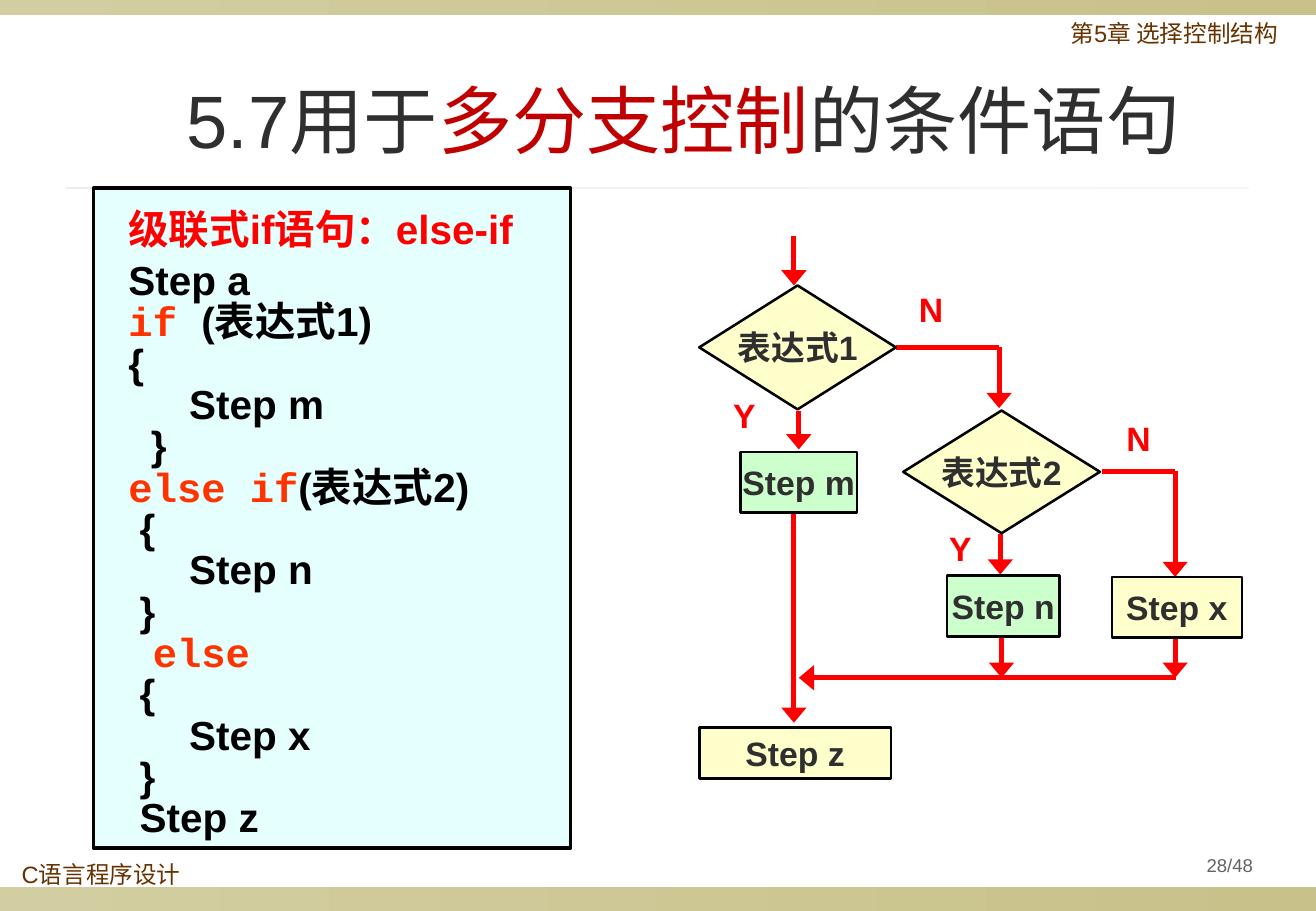
"""Build the slide on cascaded if statements: code panel and flow chart."""
from lxml.etree import SubElement
from pptx import Presentation
from pptx.dml.color import RGBColor
from pptx.enum.shapes import MSO_CONNECTOR, MSO_SHAPE
from pptx.enum.text import MSO_ANCHOR, PP_ALIGN
from pptx.oxml.ns import qn
from pptx.util import Inches, Pt

CELL = Inches(0.1)
RED, BLACK, DARK, BROWN = "FF0000", "000000", "2F2F2F", "663300"
CREAM, GREEN, KEY = "FFFFCC", "CCFFCC", "FF3300"
MONO, HAN = "Courier New", "Noto Sans CJK SC"


def paint(part, tone):
    part.solid()
    part.fore_color.rgb = RGBColor.from_string(tone)


def write(para, text, size=20, tone=DARK, bold=True, face="Arial", align=PP_ALIGN.LEFT):
    para.alignment = align
    run = para.add_run()
    run.text = text
    run.font.size, run.font.bold, run.font.name = Pt(size), bold, face
    paint(run.font.fill, tone)
    SubElement(run.font._element, qn("a:ea"), typeface=HAN)


deck = Presentation()
deck.slide_width, deck.slide_height = int(108.4 * CELL), 75 * CELL
slide = deck.slides.add_slide(deck.slide_layouts[5])
shapes = slide.shapes

bands = [
    (0, 73, 108.4, 2, "D3CEA1", "C8C18A"),
    (0, 0, 108.4, 1.2, "D3CEA1", "C8C18A"),
    (5.4, 15.4, 97.5, 0.2, "EDECE5", "F8F7F5"),
]
for *place, start, end in bands:
    band = shapes.add_shape(MSO_SHAPE.RECTANGLE, *[int(n * CELL) for n in place])
    band.shadow.inherit = False
    band.line.fill.background()
    band.fill.gradient()
    band.fill.gradient_angle = 0
    for stop, tone in zip(band.fill.gradient_stops, (start, end)):
        stop.color.rgb = RGBColor.from_string(tone)

title = shapes.title
title.left, title.top, title.width, title.height = [
    int(n * CELL) for n in (4.7, 5.2, 103.2, 9.2)]
for text, tone in [("5.7用于", DARK), ("多分支控制", "C00000"), ("的条件语句", DARK)]:
    write(title.text_frame.paragraphs[0], text, size=44, tone=tone, bold=False,
          align=PP_ALIGN.CENTER)

panel = shapes.add_shape(
    MSO_SHAPE.RECTANGLE, *[int(n * CELL) for n in (7.7, 15.5, 39.3, 54.3)])
panel.shadow.inherit = False
paint(panel.fill, "E5FFFF")
paint(panel.line.fill, BLACK)
panel.line.width = Pt(2.25)
frame = panel.text_frame
frame.word_wrap = True
frame.vertical_anchor = MSO_ANCHOR.TOP

code = [
    [("级联式if语句：else-if", RED, "Arial")],
    [("Step a", BLACK, "Arial")],
    [("if ", KEY, MONO), ("(", BLACK, "Arial"), ("表达式", BLACK, HAN), ("1)", BLACK, "Arial")],
    [("{", BLACK, "Arial")],
    [("\tStep m", BLACK, "Arial")],
    [("  }", BLACK, "Arial")],
    [("else if", KEY, MONO), ("(", BLACK, "Arial"), ("表达式", BLACK, HAN), ("2)", BLACK, "Arial")],
    [(" {", BLACK, "Arial")],
    [("\tStep n", BLACK, "Arial")],
    [(" }", BLACK, "Arial")],
    [(" else", KEY, MONO)],
    [(" {", BLACK, "Arial")],
    [("\tStep x", BLACK, "Arial")],
    [(" }", BLACK, "Arial")],
    [(" Step z", BLACK, "Arial")],
]
for row, runs in enumerate(code):
    para = frame.add_paragraph() if row else frame.paragraphs[0]
    para.line_spacing = 0.85 if row else 1.2
    if row == 1:
        para.space_before = Pt(6)
    props = para._p.get_or_add_pPr()
    props.set("marL", str(int(1.9 * CELL)))
    props.set("indent", "0")
    tabs = SubElement(props, qn("a:tabLst"))
    SubElement(tabs, qn("a:tab"), pos=str(10 * CELL), algn="l")
    for text, tone, face in runs:
        write(para, text, size=24, tone=tone, face=face)

lines = [
    (65.4, 19.4, 65.4, 23.5, True),
    (65.8, 33.8, 65.8, 37, True),
    (65.4, 41.4, 65.4, 59.5, True),
    (82.3, 28.6, 73.8, 28.6, False),
    (82.3, 28.6, 82.3, 33.6, True),
    (82.4, 44, 82.4, 47.3, True),
    (96.8, 38.8, 90.8, 38.8, False),
    (96.8, 38.8, 96.8, 47.5, True),
    (82.5, 52.5, 82.5, 55.8, True),
    (96.8, 52.5, 96.8, 55.8, True),
    (96.9, 55.8, 65.8, 55.8, True),
]
for *ends, tip in lines:
    line = shapes.add_connector(MSO_CONNECTOR.STRAIGHT, *[int(n * CELL) for n in ends])
    paint(line.line.fill, RED)
    line.line.width = Pt(3)
    if tip:
        SubElement(line.line._get_or_add_ln(), qn("a:tailEnd"),
                   type="triangle", w="lg", len="med")
    SubElement(line._element.spPr, qn("a:effectLst"))

nodes = [
    ("表达式1", MSO_SHAPE.DIAMOND, CREAM, 57.6, 23.5, 16.2, 10.2),
    ("表达式2", MSO_SHAPE.DIAMOND, CREAM, 74.4, 33.8, 16.2, 10.1),
    ("Step m", MSO_SHAPE.RECTANGLE, GREEN, 61, 37.2, 9.6, 5),
    ("Step n", MSO_SHAPE.RECTANGLE, GREEN, 78, 47.4, 9.3, 5),
    ("Step x", MSO_SHAPE.RECTANGLE, CREAM, 91.6, 47.5, 10.7, 5),
    ("Step z", MSO_SHAPE.RECTANGLE, CREAM, 57.6, 59.9, 15.8, 4.2),
]
for text, kind, tone, *place in nodes:
    node = shapes.add_shape(kind, *[int(n * CELL) for n in place])
    node.shadow.inherit = False
    paint(node.fill, tone)
    paint(node.line.fill, BLACK)
    node.line.width = Pt(1.5)
    node.text_frame.word_wrap = False
    node.text_frame.vertical_anchor = MSO_ANCHOR.MIDDLE
    write(node.text_frame.paragraphs[0], text, align=PP_ALIGN.CENTER)

branch = dict(size=20, tone=RED)
margin = dict(size=14, tone=BROWN, bold=False)
labels = [
    ("N", 74.7, 23.3, 4, 4.4, branch),
    ("N", 91.8, 33.9, 4, 4.4, branch),
    ("Y", 59.4, 32, 3.8, 4.4, branch),
    ("Y", 77.2, 43, 3.8, 4.4, branch),
    ("第5章 选择控制结构", 87.2, 1.3, 20.5, 3.9, margin),
    ("C语言程序设计", 0.8, 70.6, 23.5, 3.9, margin),
    ("28/48", 95.9, 70, 10.8, 3.1,
     dict(size=11, tone="636363", bold=False, align=PP_ALIGN.CENTER)),
]
for text, *place, style in labels:
    label = shapes.add_textbox(*[int(n * CELL) for n in place])
    label.text_frame.word_wrap = style is not branch
    para = label.text_frame.paragraphs[0]
    para.line_spacing = 1.0 if style is branch else 0.9
    write(para, text, **style)

deck.save("out.pptx")
